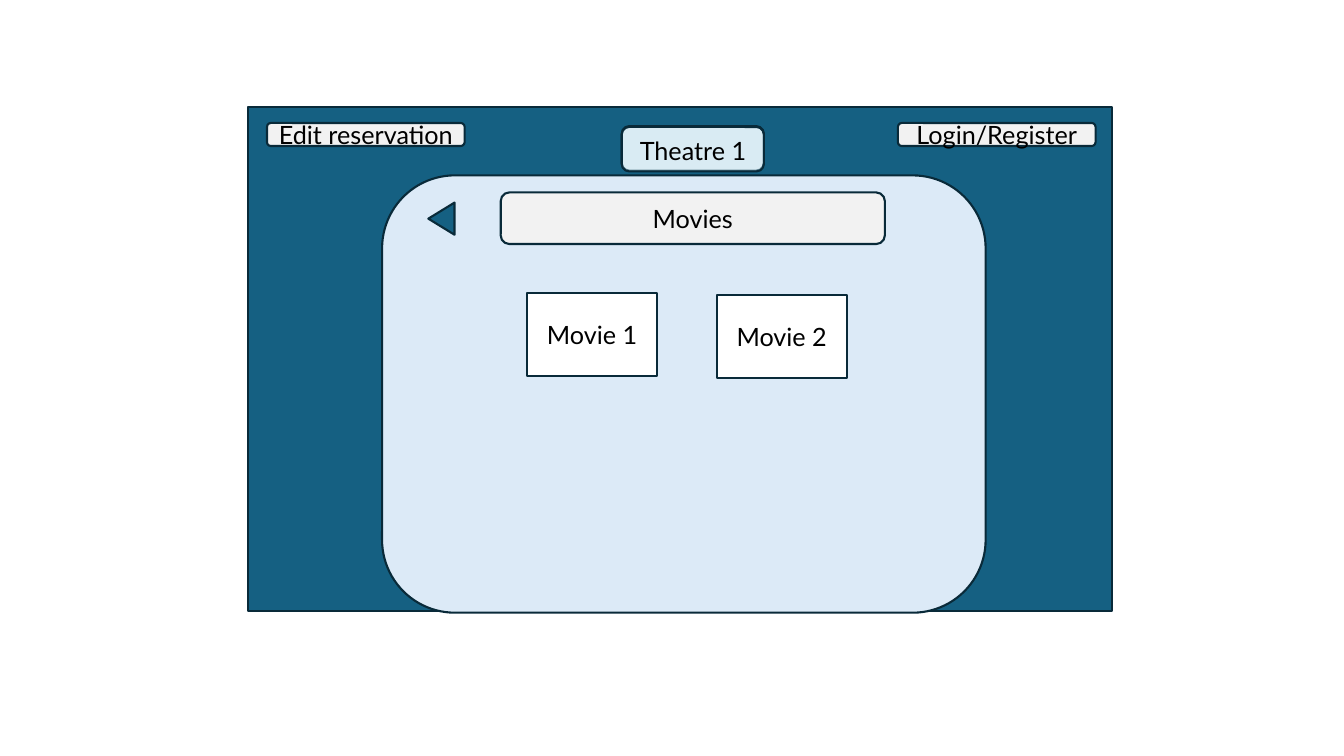
from lxml.etree import SubElement
from pptx import Presentation
from pptx.dml.color import RGBColor
from pptx.enum.shapes import MSO_SHAPE
from pptx.enum.text import MSO_ANCHOR, MSO_AUTO_SIZE, PP_ALIGN
from pptx.oxml.ns import qn
from pptx.util import Cm, Pt

TEAL, OUTLINE, GREY, SKY = "156082", "092A39", "F2F2F2", "C1E5F5"
PANEL, WHITE, BLACK = "DCEAF7", "FFFFFF", "000000"


def color(code):
    return RGBColor.from_string(code)


class Mockup:
    """Draws the parts of a screen mockup on one slide, measured in centimetres."""

    font = "Lato"
    size = Pt(18)
    line_width = Pt(1.5)

    def __init__(self, page):
        self.page = page

    def caption(self, frame, text):
        frame.word_wrap = True
        para = frame.paragraphs[0]
        para.alignment = PP_ALIGN.CENTER
        span = para.add_run()
        span.text = text
        span.font.name = self.font
        span.font.size = self.size
        span.font.color.rgb = color(BLACK)

    def shape(self, kind, place, fill, text="", opacity=100, rotation=0):
        box = self.page.shapes.add_shape(kind, *map(Cm, place))
        box.shadow.inherit = False
        box.rotation = rotation
        box.fill.solid()
        box.fill.fore_color.rgb = color(fill)
        box.line.color.rgb = color(OUTLINE)
        box.line.width = self.line_width
        if opacity < 100:
            tint = box.fill._xPr.find(qn("a:solidFill"))[0]
            SubElement(tint, qn("a:alpha"), val=str(opacity * 1000))
        if text:
            frame = box.text_frame
            frame.margin_left = frame.margin_right = 0
            frame.vertical_anchor = MSO_ANCHOR.MIDDLE
            self.caption(frame, text)

    def label(self, place, text):
        frame = self.page.shapes.add_textbox(*map(Cm, place)).text_frame
        self.caption(frame, text)
        frame.auto_size = MSO_AUTO_SIZE.SHAPE_TO_FIT_TEXT


def main():
    deck = Presentation()
    deck.slide_width, deck.slide_height = Cm(33.87), Cm(19.05)
    mockup = Mockup(deck.slides.add_slide(deck.slide_layouts[6]))
    rectangle, rounded = MSO_SHAPE.RECTANGLE, MSO_SHAPE.ROUNDED_RECTANGLE

    mockup.shape(rectangle, (6.25, 2.69, 21.77, 12.7), TEAL)
    for left, text in ((6.73, "Edit reservation"), (22.63, "Login/Register")):
        mockup.shape(rounded, (left, 3.1, 4.98, 0.58), GREY, text)

    mockup.shape(rounded, (15.67, 3.18, 3.58, 1.12), GREY)
    mockup.shape(rounded, (15.67, 3.2, 3.58, 1.12), SKY, opacity=50)
    mockup.label((15.47, 3.28, 3.99, 1.02), "Theatre 1")

    mockup.shape(rounded, (9.63, 4.42, 15.21, 11.02), PANEL)
    mockup.shape(rounded, (12.62, 4.85, 9.68, 1.3), GREY, "Movies")
    mockup.shape(MSO_SHAPE.ISOSCELES_TRIANGLE, (10.72, 5.18, 0.81, 0.66), TEAL, rotation=270)
    for left, top, text in ((13.28, 7.39, "Movie 1"), (18.06, 7.44, "Movie 2")):
        mockup.shape(rectangle, (left, top, 3.28, 2.08), WHITE, text)

    deck.save("out.pptx")


if __name__ == "__main__":
    main()
